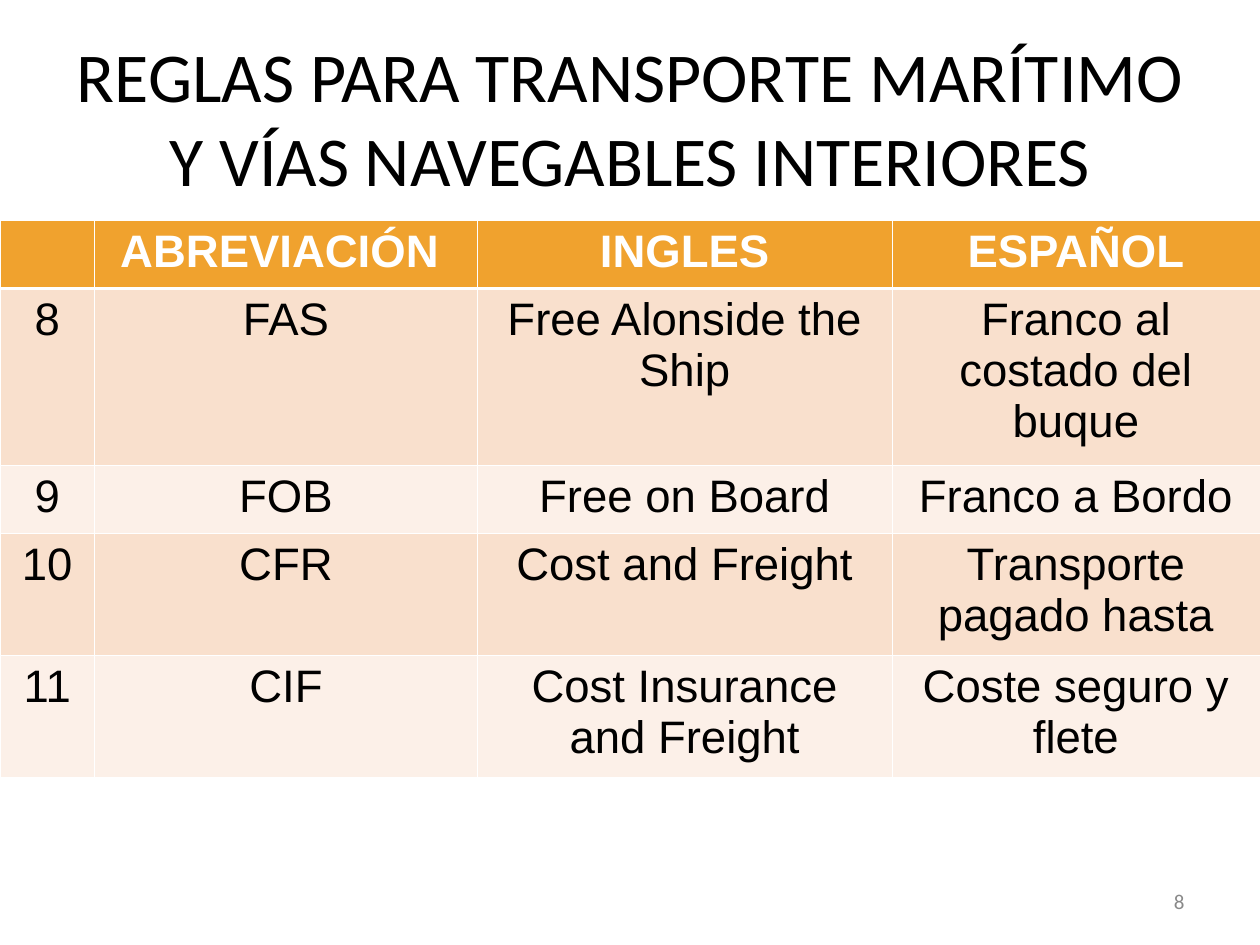
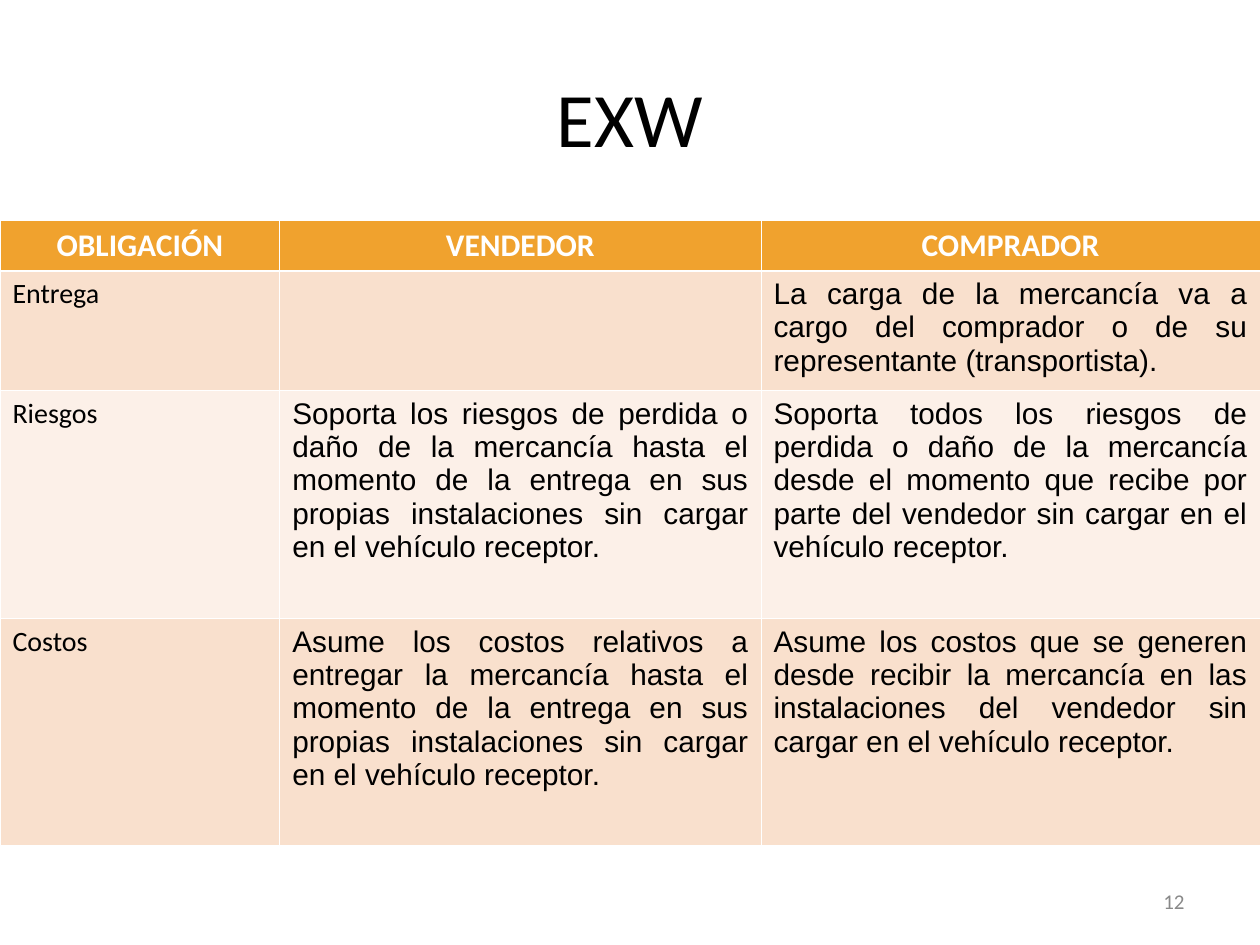
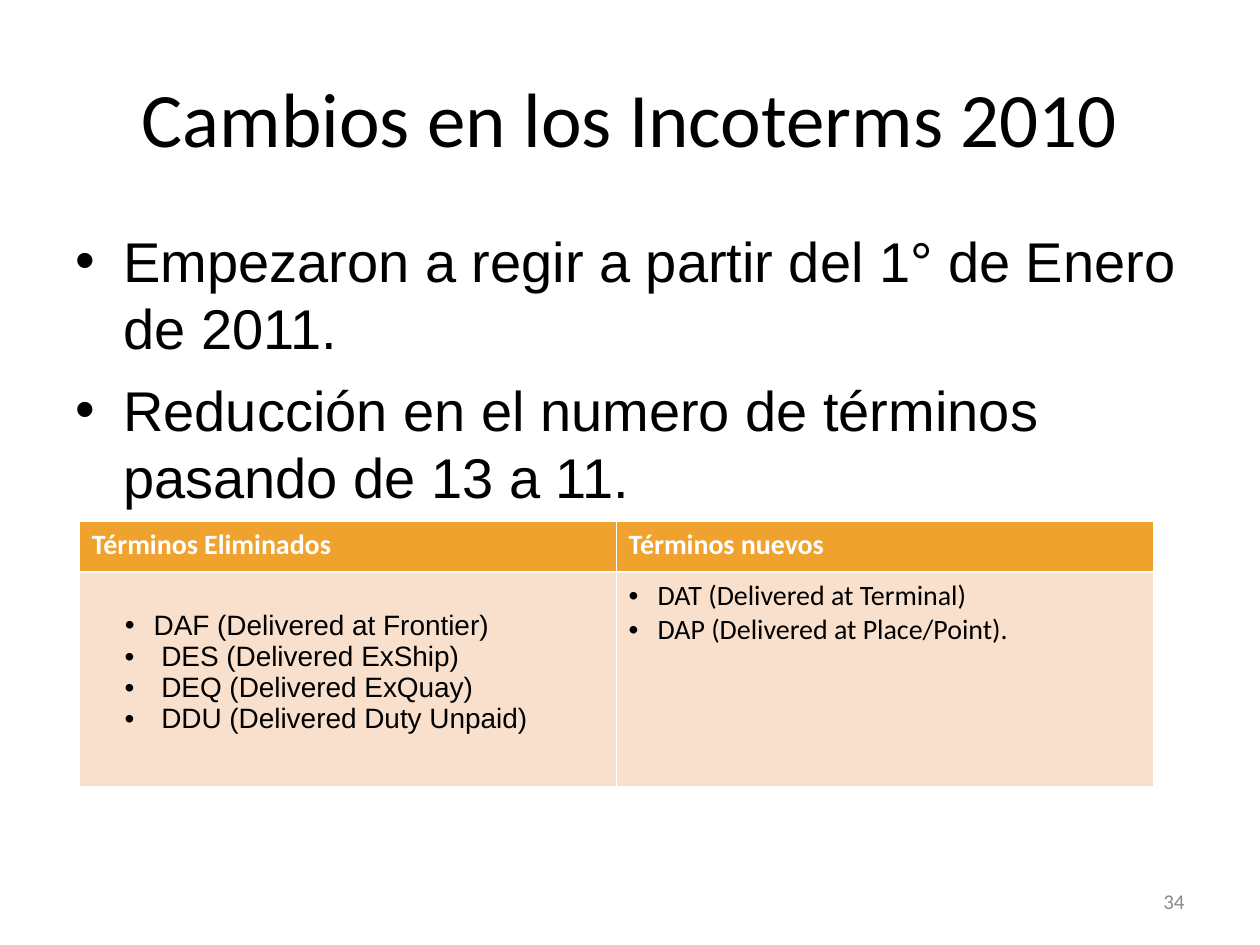
from lxml import etree
from pptx import Presentation, util as u
from pptx.dml.color import RGBColor
from pptx.enum import text as t
from pptx.oxml.ns import qn

COLORS = {"text": "000000", "white": "FFFFFF", "number": "898989",
          "header": "F0A22E", "odd": "F9E0CD", "even": "FCF0E8"}
CENTER, LEFT, RIGHT, JUSTIFY = (t.PP_ALIGN.CENTER, t.PP_ALIGN.LEFT,
                                t.PP_ALIGN.RIGHT, t.PP_ALIGN.JUSTIFY)
THIN, THICK = 0.45, 1.47
MARGIN, CONTENT_TOP = 0.5, 1.75


def write_text(frame, text, size=16, font="Calibri", color="text", bold=False,
               align=LEFT, bullet_indent=None, hanging=0, before=0):
    """Fill the frame's first paragraph, or append one if it is taken."""
    paragraph = frame.paragraphs[0]
    if paragraph.runs:
        paragraph = frame.add_paragraph()
    paragraph.alignment = align
    paragraph.space_before = u.Pt(before)
    if bullet_indent is not None:
        properties = paragraph._p.get_or_add_pPr()
        properties.set("marL", str(u.Inches(bullet_indent)))
        properties.set("indent", str(-u.Inches(hanging)))
        etree.SubElement(properties, qn("a:buFont"), typeface="Arial")
        etree.SubElement(properties, qn("a:buChar"), char="•")
    run = paragraph.add_run()
    run.text = text
    run.font.size = u.Pt(size)
    run.font.name = font
    run.font.bold = bold
    run.font.color.rgb = RGBColor.from_string(COLORS[color])


def add_banded_table(slide, left, top, widths, heights):
    """Add a table with an orange header, banded rows and white rules."""
    table = slide.shapes.add_table(
        len(heights), len(widths), u.Inches(left), u.Inches(top),
        u.Inches(sum(widths)), u.Inches(sum(heights))).table
    for column, width in zip(table.columns, widths):
        column.width = u.Inches(width)
    for row_index, (row, height) in enumerate(zip(table.rows, heights)):
        row.height = u.Inches(height)
        band = "header" if row_index == 0 else "odd" if row_index % 2 else "even"
        rules = {"lnL": THIN, "lnR": THIN,
                 "lnT": THICK if row_index == 1 else THIN,
                 "lnB": THICK if row_index == 0 else THIN}
        for cell in row.cells:
            cell.fill.solid()
            cell.fill.fore_color.rgb = RGBColor.from_string(COLORS[band])
            properties = cell._tc.get_or_add_tcPr()
            for position, (edge, width) in enumerate(rules.items()):
                line = etree.Element(qn("a:" + edge), w=str(u.Pt(width)))
                fill = etree.SubElement(line, qn("a:solidFill"))
                etree.SubElement(fill, qn("a:srgbClr"), val=COLORS["white"])
                properties.insert(position, line)
    return table


presentation = Presentation()
presentation.slide_width = u.Inches(10)
presentation.slide_height = u.Inches(7.5)

# Titles and page numbers
slides = []
for title, title_size, number in [
        ("REGLAS PARA TRANSPORTE MARÍTIMO Y VÍAS NAVEGABLES INTERIORES", 40, "8"),
        ("EXW", 44, "12"),
        ("Cambios en los Incoterms 2010", 44, "34")]:
    slide = presentation.slides.add_slide(presentation.slide_layouts[5])
    shape = slide.shapes.title
    shape.left, shape.top = u.Inches(MARGIN), u.Inches(0.3)
    shape.width, shape.height = u.Inches(9), u.Inches(1.25)
    shape.text_frame.auto_size = t.MSO_AUTO_SIZE.NONE
    shape.text_frame.vertical_anchor = t.MSO_ANCHOR.MIDDLE
    write_text(shape.text_frame, title, size=title_size, align=CENTER)
    footer = slide.shapes.add_textbox(u.Inches(7.17), u.Inches(6.95),
                                      u.Inches(2.33), u.Inches(0.4))
    footer.text_frame.word_wrap = True
    footer.text_frame.vertical_anchor = t.MSO_ANCHOR.MIDDLE
    write_text(footer.text_frame, number, size=12, color="number", align=RIGHT)
    slides.append(slide)
rules_slide, exw_slide, changes_slide = slides

# Maritime rules
rules = [
    ("", "ABREVIACIÓN ", "INGLES", "ESPAÑOL"),
    ("8", "FAS", "Free Alonside the Ship", "Franco al costado del buque"),
    ("9", "FOB", "Free on Board", "Franco a Bordo"),
    ("10", "CFR", "Cost and Freight", "Transporte pagado hasta"),
    ("11", "CIF", "Cost Insurance and Freight", "Coste seguro y flete")]
table = add_banded_table(rules_slide, 0, CONTENT_TOP, [0.75, 3.04, 3.29, 2.92],
                         [0.54, 1.4, 0.54, 0.97, 0.97])
for row_index, row in enumerate(rules):
    for column_index, content in enumerate(row):
        if content:
            header = row_index == 0
            write_text(table.cell(row_index, column_index).text_frame, content,
                       size=26, font="Arial", align=CENTER, bold=header,
                       color="white" if header else "text")

# EXW obligations
obligations = [
    ("OBLIGACIÓN", "VENDEDOR", "COMPRADOR"),
    ("Entrega", "",
     "La carga de la mercancía va a cargo del comprador o de su representante "
     "(transportista)."),
    ("Riesgos",
     "Soporta los riesgos de perdida o daño de la mercancía hasta el momento de la "
     "entrega en sus propias instalaciones sin cargar en el vehículo receptor.",
     "Soporta todos los riesgos de perdida o daño de la mercancía desde el momento "
     "que recibe por parte del vendedor sin cargar en el vehículo receptor."),
    ("Costos",
     "Asume los costos relativos a entregar la mercancía hasta el momento de la "
     "entrega en sus propias instalaciones sin cargar en el vehículo receptor.",
     "Asume los costos que se generen desde recibir la mercancía en las "
     "instalaciones del vendedor sin cargar en el vehículo receptor.")]
header_style = dict(size=18, color="white", bold=True, align=CENTER)
duty_style = dict(size=17, font="Arial", align=JUSTIFY)
table = add_banded_table(exw_slide, 0, CONTENT_TOP, [2.22, 3.82, 3.96],
                         [0.4, 0.95, 1.81, 1.8])
for row_index, row in enumerate(obligations):
    for column_index, content in enumerate(row):
        style = header_style if row_index == 0 else duty_style if column_index else {}
        if content:
            write_text(table.cell(row_index, column_index).text_frame, content, **style)

# Changes in 2010: main points
points = changes_slide.shapes.add_textbox(u.Inches(MARGIN), u.Inches(CONTENT_TOP),
                                          u.Inches(9), u.Inches(4.95))
points.text_frame.word_wrap = True
for point in ["Empezaron a regir a partir del 1° de Enero de 2011.",
              "Reducción en el numero de términos pasando de 13 a 11."]:
    write_text(points.text_frame, point, size=32, font="Arial", before=8,
               bullet_indent=0.38, hanging=0.38)

# Changes in 2010: removed and new terms
table = add_banded_table(changes_slide, 0.63, 4.14, [4.26, 4.26], [0.4, 1.7])
for cell, heading in zip(table.rows[0].cells, ["Términos Eliminados", "Términos nuevos"]):
    write_text(cell.text_frame, heading, color="white", bold=True)
removed_cell, new_cell = table.rows[1].cells
removed_cell.margin_top = u.Inches(0.3)
for term, hanging in [("DAF (Delivered at Frontier)", 0.23),
                      ("DES (Delivered ExShip)", 0.29),
                      ("DEQ (Delivered ExQuay)", 0.29),
                      ("DDU (Delivered Duty Unpaid)", 0.29)]:
    write_text(removed_cell.text_frame, term, font="Arial",
               bullet_indent=0.26 + hanging, hanging=hanging)
for term in ["DAT (Delivered at Terminal)", "DAP (Delivered at Place/Point)."]:
    write_text(new_cell.text_frame, term, bullet_indent=0.23, hanging=0.23)

presentation.save("out.pptx")
